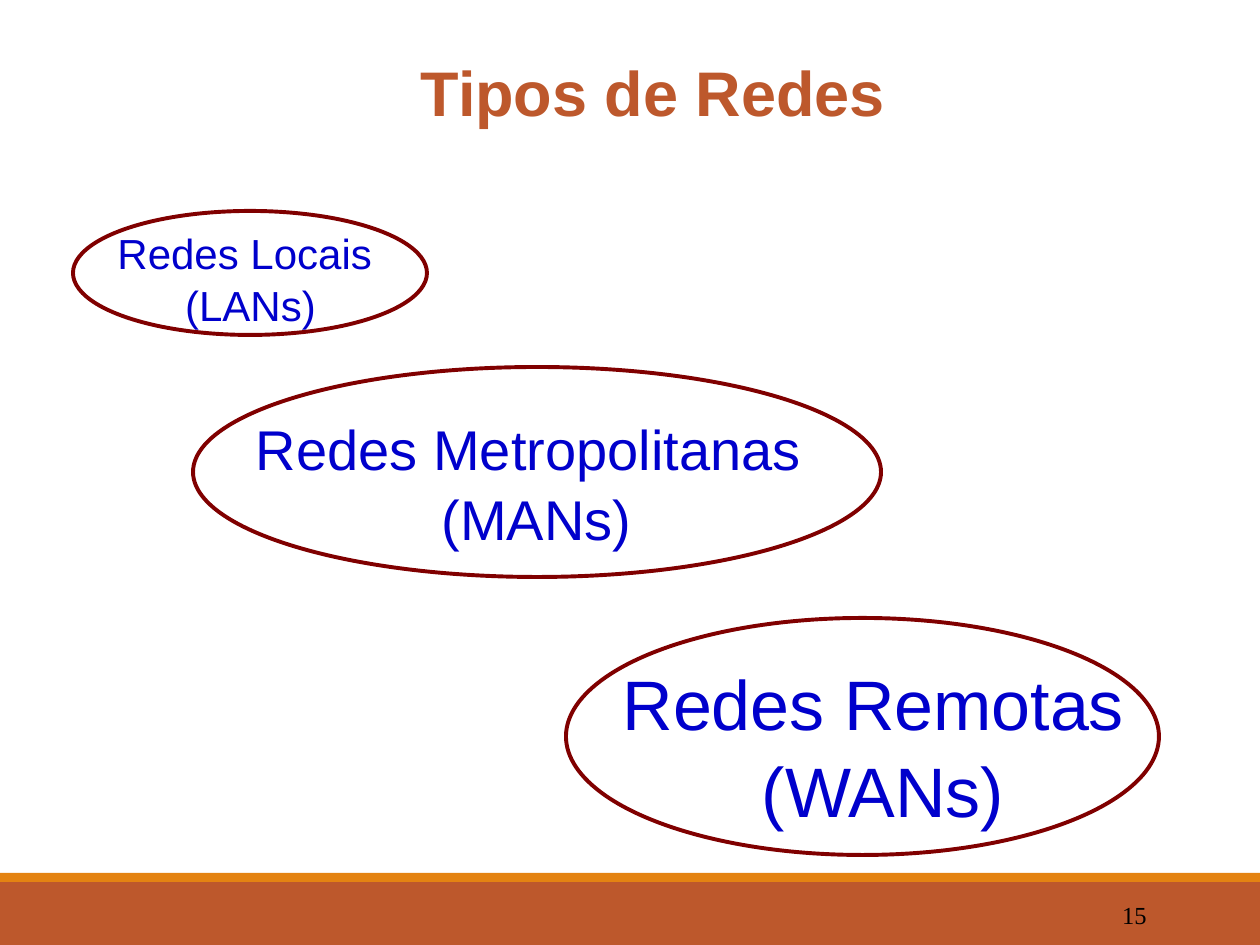
from pptx import Presentation
from pptx.dml.color import RGBColor
from pptx.enum.shapes import MSO_SHAPE as Shape
from pptx.enum.text import MSO_ANCHOR as Anchor, PP_ALIGN as Align
from pptx.util import Emu, Pt

PX = 914400 // 126
SLIDE_SIZE = (1260, 945)
RUST, ORANGE, BLUE, MAROON, BLACK = "BD582C", "E48312", "0000CC", "800000", "000000"

BARS = [
    ((0, 882, 1260, 63), RUST),
    ((0, 873, 1260, 9), ORANGE),
]
TITLE = ("Tipos de Redes", (123, 47, 1060, 88))
PAGE_NUMBER = ("15", (1023, 890, 136, 50))
NETWORKS = [
    (["Redes Locais ", "(LANs)"], 24, (103, 221, 295, 115), (73, 211, 354, 124)),
    (["Redes Metropolitanas ", "(MANs)"], 32, (241, 408, 591, 149), (193, 367, 688, 210)),
    (["Redes Remotas ", "(WANs)"], 40, (607, 654, 552, 183), (566, 618, 593, 237)),
]


def color(value):
    return RGBColor.from_string(value)


def emu(box):
    return [Emu(value * PX) for value in box]


def apply(target, values):
    for name, value in values.items():
        setattr(target, name, value)


def write(shape, lines, size, ink, name="Arial", bold=False,
          align=Align.CENTER, anchor=Anchor.TOP, gap=0.05):
    frame = shape.text_frame
    apply(frame, {"word_wrap": True, "vertical_anchor": anchor})
    frame.text = "\n".join(lines)
    for paragraph in frame.paragraphs:
        apply(paragraph, {"alignment": align, "line_spacing": 1.0,
                          "space_before": Pt(size * gap)})
        font = paragraph.runs[0].font
        apply(font, {"name": name, "size": Pt(size), "bold": bold})
        font.color.rgb = color(ink)


def add_shape(slide, kind, box, fill=None, line=None):
    shape = slide.shapes.add_shape(kind, *emu(box))
    shape.shadow.inherit = False
    if fill:
        shape.fill.solid()
        shape.fill.fore_color.rgb = color(fill)
    else:
        shape.fill.background()
    if line:
        shape.line.color.rgb = color(line)
        shape.line.width = Pt(2.25)
    else:
        shape.line.fill.background()


def main():
    presentation = Presentation()
    presentation.slide_width, presentation.slide_height = emu(SLIDE_SIZE)
    slide = presentation.slides.add_slide(presentation.slide_layouts[5])

    for box, fill in BARS:
        add_shape(slide, Shape.RECTANGLE, box, fill=fill)

    text, box = PAGE_NUMBER
    write(slide.shapes.add_textbox(*emu(box)), [text], 14, BLACK,
          name="Times New Roman", align=Align.RIGHT, anchor=Anchor.MIDDLE, gap=0)

    text, box = TITLE
    title = slide.shapes.title
    apply(title, dict(zip(("left", "top", "width", "height"), emu(box))))
    write(title, [text], 36, RUST, bold=True)

    for lines, size, text_box, ellipse_box in NETWORKS:
        write(slide.shapes.add_textbox(*emu(text_box)), lines, size, BLUE)
        add_shape(slide, Shape.OVAL, ellipse_box, line=MAROON)

    presentation.save("out.pptx")


if __name__ == "__main__":
    main()
